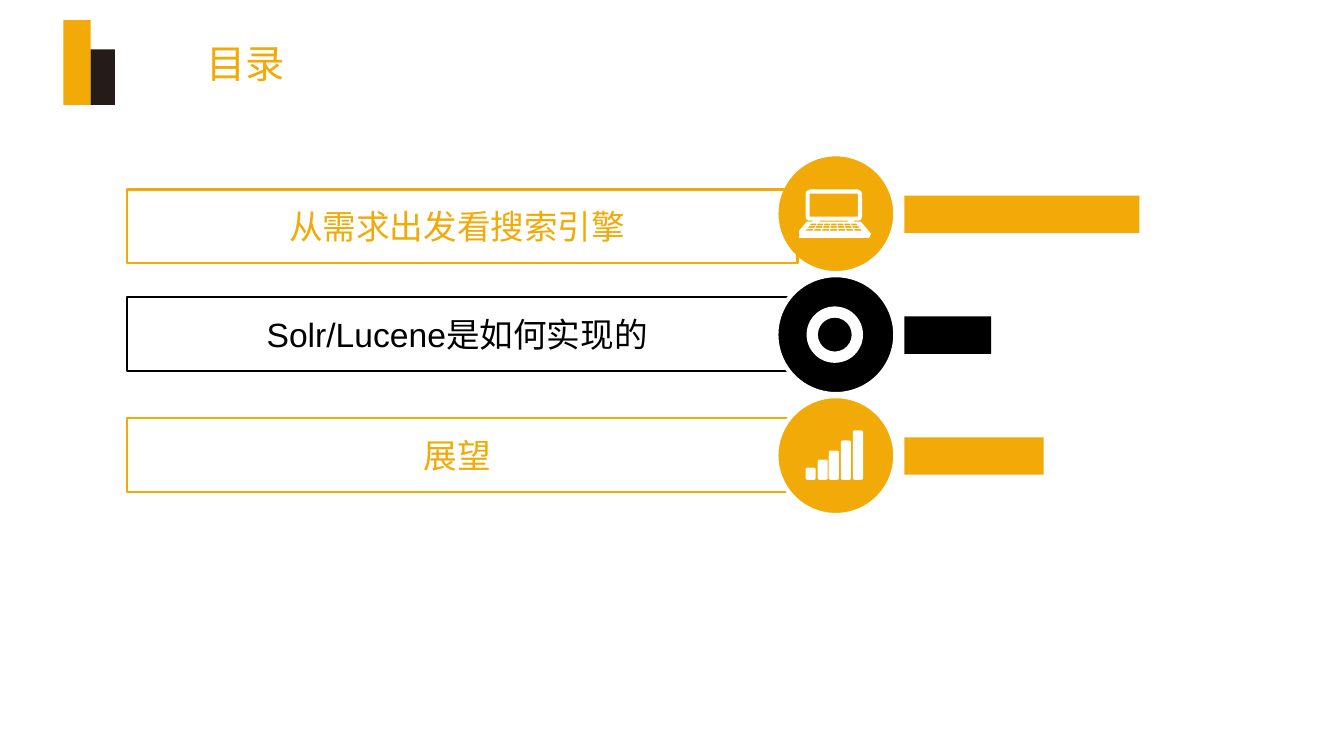
from pptx import Presentation
from pptx.dml.color import RGBColor
from pptx.enum.shapes import MSO_SHAPE
from pptx.enum.text import MSO_ANCHOR, PP_ALIGN
from pptx.util import Pt

PX = 9144  # EMU per px, 100 px to the inch
RECT, ELLIPSE = MSO_SHAPE.RECTANGLE, MSO_SHAPE.OVAL
ROUNDED, DONUT = MSO_SHAPE.ROUNDED_RECTANGLE, MSO_SHAPE.DONUT
MIDDLE, LEFT, CENTER = MSO_ANCHOR.MIDDLE, PP_ALIGN.LEFT, PP_ALIGN.CENTER
ORANGE, BLACK, DARK, WHITE = "F1AA07", "000000", "251C1A", "FFFFFF"

# text, colour, box top, bar width
TOPICS = [
    ("从需求出发看搜索引擎", ORANGE, 188, 233),
    ("Solr/Lucene是如何实现的", BLACK, 295, 86),
    ("展望", ORANGE, 415, 138),
]
CIRCLE_TOP, BAR_TOP, ROW_STEP = 153, 194, 120


def px(n):
    return round(n * PX)


def rgb(color):
    return RGBColor.from_string(color)


def paint(sp, fill=None, line=None, width=1.5):
    sp.shadow.inherit = False
    if fill:
        sp.fill.solid()
        sp.fill.fore_color.rgb = rgb(fill)
    else:
        sp.fill.background()
    if line:
        sp.line.color.rgb = rgb(line)
        sp.line.width = Pt(width)
    else:
        sp.line.fill.background()


def add_shape(slide, kind, x, y, w, h, fill=None, line=None, width=1.5):
    sp = slide.shapes.add_shape(kind, px(x), px(y), px(w), px(h))
    paint(sp, fill, line, width)
    return sp


def write(sp, text, size, color, align, right=10):
    tf = sp.text_frame
    tf.word_wrap = True
    tf.vertical_anchor = MIDDLE
    tf.margin_left, tf.margin_right = px(10), px(right)
    tf.margin_top = tf.margin_bottom = px(5)
    p = tf.paragraphs[0]
    p.alignment = align
    r = p.add_run()
    r.text = text
    r.font.name = "Arial"
    r.font.size = Pt(size)
    r.font.color.rgb = rgb(color)


def add_topic_box(slide, text, color, top):
    sp = add_shape(slide, RECT, 126, top, 665, 73, line=color)
    write(sp, text, 24, color, CENTER, right=20)


def box_points(x1, y1, x2, y2):
    return [(x1, y1), (x2, y1), (x2, y2), (x1, y2)]


def keyboard_keys():
    """Outlines of three rows of seven keys that widen towards the viewer."""
    def edge(u, y):
        return round(8275 + u * (230 + 0.8 * (y - 2220)))

    keys = []
    for top in (2220, 2245, 2272):
        bottom = top + 17
        for i in range(7):
            u1 = -1 + 2 * i / 7
            u2 = u1 + 1.7 / 7
            keys.append([(edge(u1, top), top), (edge(u2, top), top),
                         (edge(u2, bottom), bottom), (edge(u1, bottom), bottom)])
    return keys


def add_laptop(slide):
    """White laptop with cut-out screen and keys, in tenths of a px."""
    body = [(8000, 2200), (8060, 2200), (8060, 2190), (8030, 2190), (8000, 2180),
            (7990, 2150), (7990, 1920), (8000, 1895), (8030, 1880), (8510, 1880),
            (8540, 1895), (8550, 1920), (8550, 2150), (8540, 2180), (8510, 2190),
            (8470, 2190), (8470, 2200), (8540, 2200), (8640, 2320), (8620, 2360),
            (7930, 2360), (7900, 2320)]
    screen = box_points(8030, 1920, 8510, 2150)
    hinge = box_points(8130, 2190, 8410, 2198)
    fb = slide.shapes.build_freeform(*body[0], scale=PX / 10)
    fb.add_line_segments(body[1:], close=True)
    for hole in [screen, hinge] + keyboard_keys():
        fb.move_to(*hole[0])
        fb.add_line_segments(hole[1:], close=True)
    paint(fb.convert_to_shape(), WHITE)


def add_signal_bars(slide):
    bottom = 476
    for i, top in enumerate((464, 456, 447, 437, 427)):
        sp = add_shape(slide, ROUNDED, round(799 + 11.75 * i), top, 10, bottom - top, WHITE)
        sp.adjustments[0] = 0.18


def add_ring(slide):
    sp = add_shape(slide, DONUT, 800, 304, 56, 56, WHITE)
    sp.adjustments[0] = 0.2


def main():
    prs = Presentation()
    prs.slide_width, prs.slide_height = px(1333), px(750)
    slide = prs.slides.add_slide(prs.slide_layouts[6])

    add_shape(slide, RECT, 63, 20, 27, 84, ORANGE)
    add_shape(slide, RECT, 90, 49, 24, 55, DARK)
    title = slide.shapes.add_textbox(px(195), px(20), px(997), px(84))
    write(title, "目录", 28, ORANGE, LEFT)

    for text, color, top, _ in TOPICS[1:]:
        add_topic_box(slide, text, color, top)
    for i, (_, color, _, bar_width) in enumerate(TOPICS):
        add_shape(slide, ELLIPSE, 770, CIRCLE_TOP + i * ROW_STEP, 118, 118, color, WHITE, 3)
        add_shape(slide, RECT, 897, BAR_TOP + i * ROW_STEP, bar_width, 37, color)
    add_laptop(slide)
    add_ring(slide)
    add_signal_bars(slide)
    # The first box lies in front of its circle
    add_topic_box(slide, *TOPICS[0][:3])

    prs.save("out.pptx")


if __name__ == "__main__":
    main()
